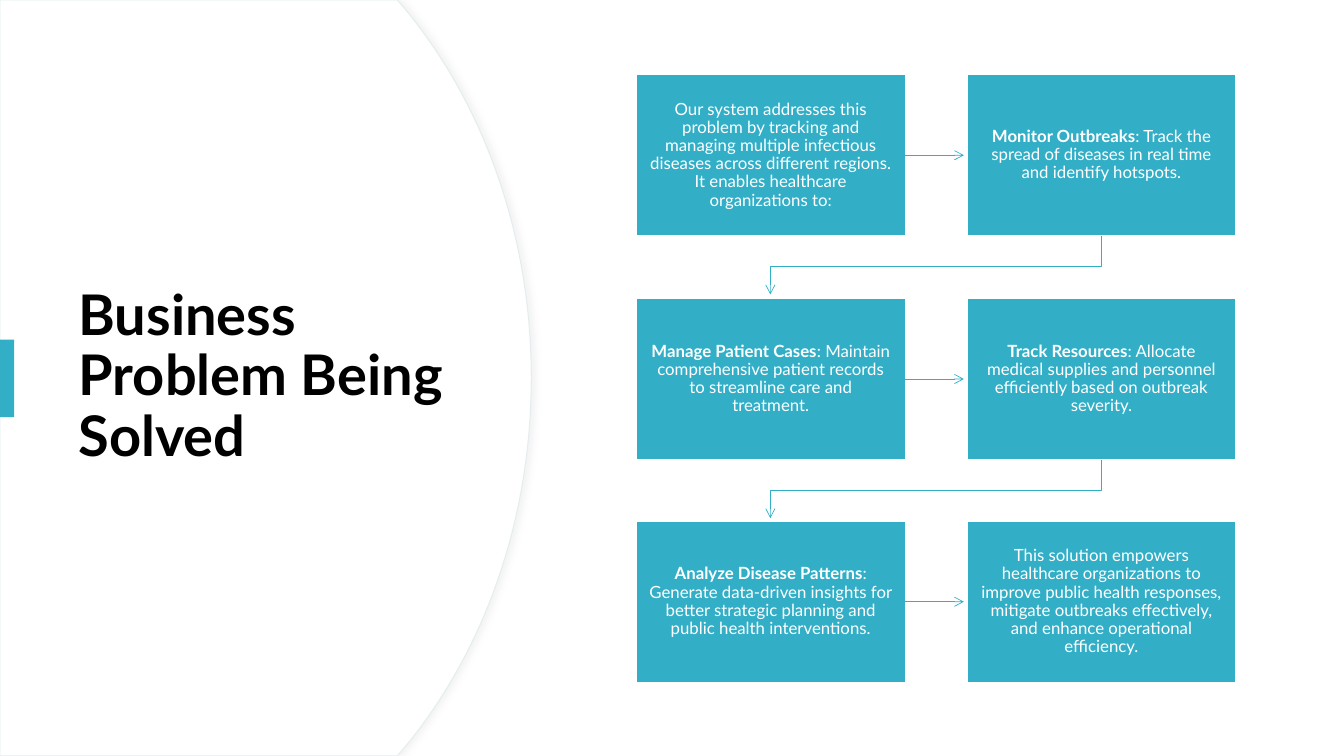
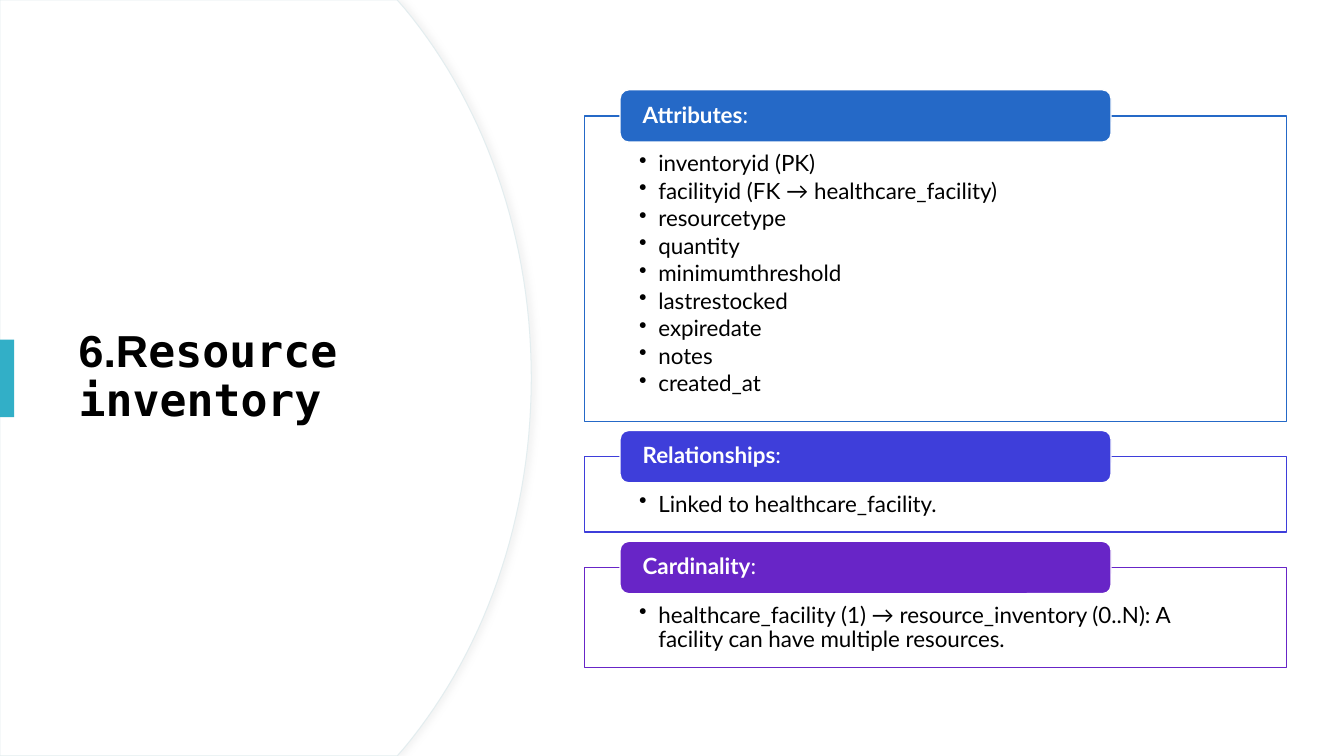
from lxml.etree import SubElement
from pptx import Presentation
from pptx.dml.color import RGBColor
from pptx.enum.shapes import MSO_CONNECTOR as Connector, MSO_SHAPE as Preset
from pptx.enum.text import MSO_ANCHOR as Anchor, MSO_AUTO_SIZE as AutoSize, PP_ALIGN as Align
from pptx.oxml.ns import qn
from pptx.util import Pt

PX = 9144
WIDTH, HEIGHT = 1333, 750
WHITE, BLACK, TEAL, PALE = "FFFFFF", "000000", "32AFC7", "E3EDEF"
color = RGBColor.from_string


def add_box(slide, preset, bounds, fill, line, insets, anchor):
    shape = slide.shapes.add_shape(preset, *[value * PX for value in bounds])
    shape.shadow.inherit = False
    shape.fill.solid()
    shape.fill.fore_color.rgb = color(fill)
    shape.line.color.rgb = color(line)
    shape.line.width = Pt(1)
    frame = shape.text_frame
    frame.word_wrap = True
    frame.vertical_anchor = anchor
    frame.margin_left = frame.margin_right = insets[0] * PX
    frame.margin_top, frame.margin_bottom = insets[1] * PX, insets[2] * PX
    return shape


def write(paragraph, parts, size, ink, align=Align.LEFT):
    paragraph.text = parts[0][0]
    for text, _, _ in parts[1:]:
        paragraph.add_run().text = text
    paragraph.alignment = align
    paragraph.line_spacing = 0.9
    paragraph.space_before = Pt(0)
    for run, (_, font, bold) in zip(paragraph.runs, parts):
        run.font.name = font
        run.font.size = Pt(size)
        run.font.bold = bold
        run.font.color.rgb = color(ink)


presentation = Presentation()
presentation.slide_width, presentation.slide_height = WIDTH * PX, HEIGHT * PX
layout = presentation.slide_layouts[5]
layout_title = layout.placeholders[0]
layout_title.left, layout_title.top = 68 * PX, 127 * PX
layout_title.width, layout_title.height = 394 * PX, 495 * PX

titles = [
    (40, [("Business Problem Being Solved", "Lato", True)]),
    (32, [("6.R", "Arial", True), ("esource inventory", "DejaVu Sans Mono", True)]),
]
for size, parts in titles:
    slide = presentation.slides.add_slide(layout)
    frame = slide.shapes.title.text_frame
    frame.word_wrap = True
    frame.auto_size = AutoSize.NONE
    frame.vertical_anchor = Anchor.MIDDLE
    write(frame.paragraphs[0], parts, size, BLACK)
problem_slide, inventory_slide = presentation.slides

curve = [(401, 8), (479, 102), (527, 232), (527, 375)]
STEPS = 30
upper = []
for step in range(STEPS + 1):
    t = step / STEPS
    weights = [(1 - t) ** 3, 3 * t * (1 - t) ** 2, 3 * t ** 2 * (1 - t), t ** 3]
    upper.append(tuple(sum(w * point[axis] for w, point in zip(weights, curve)) for axis in (0, 1)))
upper.insert(0, (394, 0))
lower = [(x, HEIGHT - y) for x, y in reversed(upper[:-1])]
outline = upper + lower + [(0, HEIGHT)]
builder = problem_slide.shapes.build_freeform(0, 0)
builder.add_line_segments([(x * PX, y * PX) for x, y in outline], close=True)
arc = builder.convert_to_shape()
arc.fill.solid()
arc.fill.fore_color.rgb = color(WHITE)
arc.line.color.rgb = color(PALE)
arc.line.width = Pt(0.75)
arc.shadow.inherit = False
effects = arc.element.spPr.find(qn("a:effectLst"))
shadow = SubElement(effects, qn("a:outerShdw"), blurRad=str(Pt(4)), dist=str(Pt(3)), dir="0")
shadow_color = SubElement(shadow, qn("a:srgbClr"), val="D9D9D9")
SubElement(shadow_color, qn("a:alpha"), val="30000")

accent = add_box(problem_slide, Preset.RECTANGLE, (0, 337, 14, 77), TEAL, TEAL, (0, 0, 0), Anchor.MIDDLE)
accent.line.fill.background()
for shape in (arc, accent):
    layout.shapes.element.append(shape.element)

steps = [
    ("", "Our system addresses this problem by tracking and managing multiple infectious diseases across different regions. It enables healthcare organizations to:"),
    ("Monitor Outbreaks", ": Track the spread of diseases in real time and identify hotspots."),
    ("Manage Patient Cases", ": Maintain comprehensive patient records to streamline care and treatment."),
    ("Track Resources", ": Allocate medical supplies and personnel efficiently based on outbreak severity."),
    ("Analyze Disease Patterns", ": Generate data-driven insights for better strategic planning and public health interventions."),
    ("", "This solution empowers healthcare organizations to improve public health responses, mitigate outbreaks effectively, and enhance operational efficiency."),
]
LEFT, TOP = 631, 74
BOX_WIDTH, BOX_HEIGHT = 267, 160
COLUMN_PITCH, ROW_PITCH = 328, 221.5
ARROW = 58
for index, (lead, rest) in enumerate(steps):
    row, column = divmod(index, 2)
    x, y = LEFT + column * COLUMN_PITCH, round(TOP + row * ROW_PITCH)
    box = add_box(problem_slide, Preset.RECTANGLE, (x, y, BOX_WIDTH, BOX_HEIGHT), TEAL, WHITE, (13, 14, 14), Anchor.MIDDLE)
    parts = [(lead, "Lato", True), (rest, "Lato", False)] if lead else [(rest, "Lato", False)]
    write(box.text_frame.paragraphs[0], parts, 12, WHITE, Align.CENTER)
    if index == len(steps) - 1:
        continue
    if column == 0:
        start_x, middle_y = x + BOX_WIDTH, y + BOX_HEIGHT // 2
        kind, ends = Connector.STRAIGHT, (start_x, middle_y, start_x + ARROW, middle_y)
    else:
        center_x = x + (BOX_WIDTH - COLUMN_PITCH) // 2
        center_y = y + BOX_HEIGHT + ARROW // 2
        half_x, half_y = ARROW // 2, COLUMN_PITCH // 2
        kind = Connector.ELBOW
        ends = (center_x - half_x, center_y - half_y, center_x + half_x, center_y + half_y)
    arrow = problem_slide.shapes.add_connector(kind, *[value * PX for value in ends])
    arrow.line.color.rgb = color(TEAL)
    arrow.line.width = Pt(0.5)
    properties = arrow.element.spPr
    SubElement(properties.find(qn("a:ln")), qn("a:tailEnd"), type="arrow")
    SubElement(properties, qn("a:effectLst"))
    if kind == Connector.ELBOW:
        properties.find(qn("a:xfrm")).set("rot", "5400000")
        guides = properties.find(qn("a:prstGeom")).find(qn("a:avLst"))
        SubElement(guides, qn("a:gd"), name="adj1", fmla="val 53000")

panels = [
    ("Attributes", "2569C7", 303, [
        "inventoryid (PK)", "facilityid (FK → healthcare_facility)", "resourcetype", "quantity",
        "minimumthreshold", "lastrestocked", "expiredate", "notes", "created_at",
    ]),
    ("Relationships", "3E3EDA", 75, ["Linked to healthcare_facility."]),
    ("Cardinality", "6825C7", 99, [
        "healthcare_facility (1) → resource_inventory (0..N): A facility can have multiple resources.",
    ]),
]
PANEL_GAP = 35
INDENT = 19 * PX
top = 115
for heading, tint, height, items in panels:
    panel = add_box(inventory_slide, Preset.RECTANGLE, (580, top, 696, height), WHITE, tint, (54, 36, 12), Anchor.TOP)
    panel.text_frame.text = "\n".join(items)
    for item, paragraph in zip(items, panel.text_frame.paragraphs):
        bullet = paragraph._p.get_or_add_pPr()
        bullet.set("marL", str(INDENT))
        bullet.set("indent", str(-INDENT))
        SubElement(bullet, qn("a:buChar"), char="•")
        write(paragraph, [(item, "Lato", False)], 16, BLACK)
        paragraph.space_after = Pt(2.4)
    label = add_box(inventory_slide, Preset.ROUNDED_RECTANGLE, (615, top - 26, 487, 52), tint, WHITE, (20, 0, 0), Anchor.MIDDLE)
    write(label.text_frame.paragraphs[0], [(heading, "Lato", True), (":", "Lato", False)], 16, WHITE)
    top += height + PANEL_GAP

presentation.save("out.pptx")
